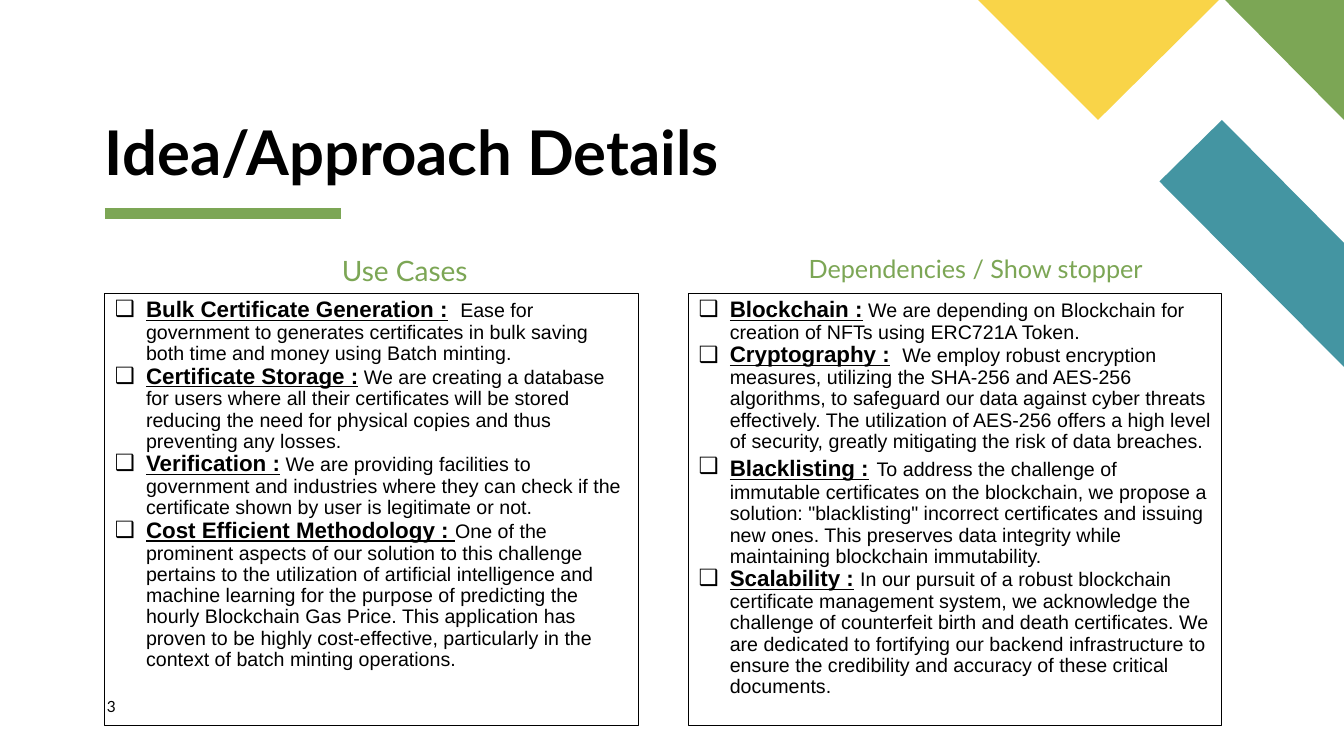
from lxml.etree import SubElement
from pptx import Presentation
from pptx.dml.color import RGBColor
from pptx.enum.shapes import MSO_CONNECTOR, MSO_SHAPE
from pptx.enum.text import MSO_ANCHOR, PP_ALIGN
from pptx.oxml.ns import qn
from pptx.util import Inches, Pt

GREEN = "7CA655"
YELLOW = "F9D448"
TEAL = "4495A2"
BLACK = "000000"

USE_CASES = [
    ("Bulk Certificate Generation :", "  ", 16,
     "Ease for government to generates certificates in bulk saving both time and money "
     "using Batch minting."),
    ("Certificate Storage :", " ", 14,
     "We are creating a database for users where all their certificates will be stored "
     "reducing the need for physical copies and thus preventing any losses."),
    ("Verification :", " ", 14,
     "We are providing facilities to government and industries where they can check if "
     "the certificate shown by user is legitimate or not."),
    ("Cost Efficient Methodology : ", "", 14,
     "One of the prominent aspects of our solution to this challenge pertains to the "
     "utilization of artificial intelligence and machine learning for the purpose of "
     "predicting the hourly Blockchain Gas Price. This application has proven to be highly "
     "cost-effective, particularly in the context of batch minting operations."),
]
DEPENDENCIES = [
    ("Blockchain :", " ", 14,
     "We are depending on Blockchain for creation of NFTs using ERC721A Token."),
    ("Cryptography :", "  ", 16,
     "We employ robust encryption measures, utilizing the SHA-256 and AES-256 algorithms, "
     "to safeguard our data against cyber threats effectively. The utilization of AES-256 "
     "offers a high level of security, greatly mitigating the risk of data breaches."),
    ("Blacklisting :", " ", 20,
     "To address the challenge of immutable certificates on the blockchain, we propose a "
     "solution: \"blacklisting\" incorrect certificates and issuing new ones. This "
     "preserves data integrity while maintaining blockchain immutability."),
    ("Scalability :", " ", 16,
     "In our pursuit of a robust blockchain certificate management system, we acknowledge "
     "the challenge of counterfeit birth and death certificates. We are dedicated to "
     "fortifying our backend infrastructure to ensure the credibility and accuracy of "
     "these critical documents."),
]


def color(value):
    return RGBColor.from_string(value)


def set_font(font, name, size, value, bold=False):
    font.name = name
    font.size = Pt(size)
    font.bold = bold
    font.color.rgb = color(value)


def add_polygon(slide, points, fill):
    corners = [(Inches(x), Inches(y)) for x, y in points]
    builder = slide.shapes.build_freeform(*corners[0], scale=1.0)
    builder.add_line_segments(corners[1:], close=True)
    shape = builder.convert_to_shape()
    shape.shadow.inherit = False
    shape.fill.solid()
    shape.fill.fore_color.rgb = color(fill)
    shape.line.fill.background()


def add_rule(slide, left, right, top, value, width):
    line = slide.shapes.add_connector(
        MSO_CONNECTOR.STRAIGHT, Inches(left), Inches(top), Inches(right), Inches(top))
    line.line.color.rgb = color(value)
    line.line.width = Pt(width)
    SubElement(line._element.spPr, qn("a:effectLst"))


def add_label(slide, text, box, size, value, bold=False, anchor=MSO_ANCHOR.TOP, spacing=0.9):
    shape = slide.shapes.add_textbox(*[Inches(length) for length in box])
    frame = shape.text_frame
    frame.word_wrap = True
    frame.vertical_anchor = anchor
    frame.margin_left = frame.margin_right = frame.margin_top = frame.margin_bottom = 0
    paragraph = frame.paragraphs[0]
    paragraph.text = text
    paragraph.line_spacing = spacing
    set_font(paragraph.font, "Lato", size, value, bold)


def add_bullet(paragraph, character, value, indent):
    properties = paragraph._p.get_or_add_pPr()
    properties.set("marL", str(Inches(indent)))
    properties.set("indent", str(-Inches(indent)))
    bullet_color = SubElement(properties, qn("a:buClr"))
    SubElement(bullet_color, qn("a:srgbClr"), val=value)
    SubElement(properties, qn("a:buFont"), typeface="Arial")
    SubElement(properties, qn("a:buChar"), char=character)


def add_item(paragraph, heading, gap, gap_size, body):
    paragraph.alignment = PP_ALIGN.LEFT
    add_bullet(paragraph, "❑", BLACK, 0.31)
    paragraph.line_spacing = 0.9
    for text, size, strong in ((heading, 16, True), (gap, gap_size, False), (body, 14, False)):
        if text:
            run = paragraph.add_run()
            run.text = text
            set_font(run.font, "Arial", size, BLACK, strong)
            run.font.underline = strong


def add_item_box(slide, left, items):
    shape = slide.shapes.add_shape(
        MSO_SHAPE.RECTANGLE, Inches(left), Inches(2.91), Inches(5.29), Inches(4.29))
    shape.shadow.inherit = False
    shape.fill.background()
    shape.line.color.rgb = color(BLACK)
    shape.line.width = Pt(0.75)
    frame = shape.text_frame
    frame.word_wrap = True
    frame.vertical_anchor = MSO_ANCHOR.TOP
    for index, item in enumerate(items):
        paragraph = frame.add_paragraph() if index else frame.paragraphs[0]
        add_item(paragraph, *item)


def main():
    presentation = Presentation()
    presentation.slide_width = Inches(13.33)
    presentation.slide_height = Inches(7.5)
    slide = presentation.slides.add_slide(presentation.slide_layouts[6])

    add_rule(slide, 1.04, 3.38, 2.12, GREEN, 8)
    add_polygon(slide, [(13.33, 3.64), (13.33, 2.41), (12.12, 1.19), (11.5, 1.8)], TEAL)
    add_polygon(slide, [(13.33, 1.19), (13.33, 0), (12.15, 0)], GREEN)
    add_polygon(slide, [(9.7, 0), (10.89, 1.19), (12.09, 0)], YELLOW)

    add_label(slide, "Idea/Approach Details", (1.04, 1.2, 6.32, 0.67), 44, BLACK,
              bold=True, anchor=MSO_ANCHOR.BOTTOM)
    add_label(slide, "Use Cases", (3.39, 2.55, 2.84, 0.3), 20, GREEN)
    add_item_box(slide, 1.04, USE_CASES)
    add_label(slide, "3", (1.06, 6.92, 0.57, 0.27), 11, BLACK, spacing=1.0)
    add_label(slide, "Dependencies / Show stopper", (8.02, 2.55, 4.17, 0.3), 18, GREEN)
    add_item_box(slide, 6.83, DEPENDENCIES)

    presentation.save("out.pptx")


if __name__ == "__main__":
    main()
